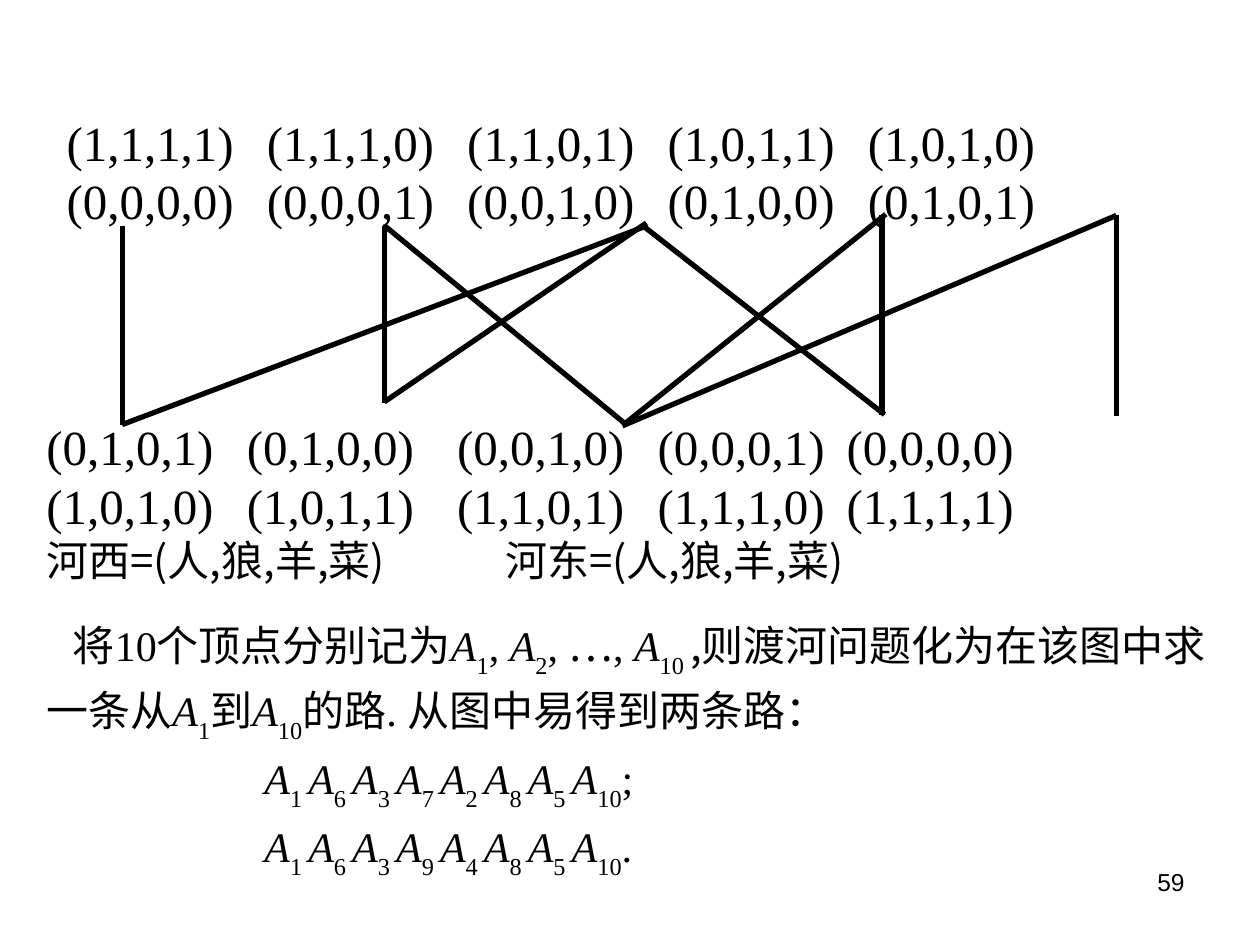
from pptx import Presentation
from pptx.dml.color import RGBColor
from pptx.enum.shapes import MSO_CONNECTOR as Link
from pptx.enum.text import PP_ALIGN as Align
from pptx.oxml.ns import qn
from pptx.util import Inches, Pt
from lxml.etree import SubElement as Sub

INK = "000000"
ROMAN, HAN = "Times New Roman", "Noto Sans CJK SC"
BIG = {"size": Pt(28), "name": ROMAN}
BODY = {"size": Pt(24), "name": ROMAN}
CJK = {"size": Pt(24), "name": HAN}
VAR = {**BODY, "italic": True}
PAGE = {"size": Pt(14), "name": "Arial"}

# States of the west and east banks, one column per vertex
TOP = [
    ["(1,1,1,1)", "(1,1,1,0)", "(1,1,0,1)", "(1,0,1,1)", "(1,0,1,0)"],
    ["(0,0,0,0)", "(0,0,0,1)", "(0,0,1,0)", "(0,1,0,0)", "(0,1,0,1)"],
]
LOW = [
    ["(0,1,0,1)", "(0,1,0,0)", "(0,0,1,0)", "(0,0,0,1)", "(0,0,0,0)"],
    ["(1,0,1,0)", "(1,0,1,1)", "(1,1,0,1)", "(1,1,1,0)", "(1,1,1,1)"],
]
KEY = ["河西=(人,狼,羊,菜)", "河东=(人,狼,羊,菜)"]
TOP_TABS = [1.59 * i for i in range(1, 5)]
LOW_TABS = [1.59, 3.26, 4.85, 6.35]

# Edges of the graph: x1, y1, x2, y2
EDGES = [
    (7, 3.29, 7, 1.71),
    (0.97, 1.79, 0.97, 3.37),
    (0.97, 3.37, 5.14, 1.79),
    (5.13, 1.77, 3.05, 3.19),
    (5.1, 1.79, 7.02, 3.29),
    (3.05, 1.79, 3.05, 3.2),
    (3.05, 1.79, 4.97, 3.37),
    (4.95, 3.37, 7.03, 1.7),
    (4.94, 3.38, 8.86, 1.71),
    (8.86, 1.71, 8.86, 3.3),
]
ROUTES = [
    ([1, 6, 3, 7, 2, 8, 5, 10], ";"),
    ([1, 6, 3, 9, 4, 8, 5, 10], "."),
]


def color(code):
    return RGBColor.from_string(code)


def add_box(slide, x, y, w, h):
    frame = slide.shapes.add_textbox(*map(Inches, (x, y, w, h))).text_frame
    frame.word_wrap = True
    return frame


def add_par(frame, tabs=(), indent=0, **form):
    first = frame.paragraphs[0]
    par = frame.add_paragraph() if first.runs else first
    props = par._p.get_or_add_pPr()
    if indent:
        props.set("indent", str(Inches(indent)))
    if tabs:
        stops = Sub(props, qn("a:tabLst"))
        for pos in tabs:
            Sub(stops, qn("a:tab"), pos=str(Inches(pos)), algn="l")
    for key, val in form.items():
        setattr(par, key, val)
    return par


def add_run(par, text, form, base=0):
    run = par.add_run()
    run.text = text
    for key, val in form.items():
        setattr(run.font, key, val)
    run.font.color.rgb = color(INK)
    props = run.font._element
    Sub(props, qn("a:ea"), typeface=HAN)
    if base:
        props.set("baseline", str(base))


def add_node(par, num, gap=""):
    """Italic A with a lowered index."""
    add_run(par, "A", VAR)
    add_run(par, f"{num}{gap}", BODY, -30000)


def add_rows(frame, rows, tabs, form):
    for row in rows:
        add_run(add_par(frame, tabs), "\t".join(row), form)


def add_edge(slide, ends):
    edge = slide.shapes.add_connector(Link.STRAIGHT, *map(Inches, ends))
    edge.line.color.rgb = color(INK)
    edge.line.width = Pt(3)
    Sub(edge._element.spPr, qn("a:effectLst"))


def add_story(slide):
    frame = add_box(slide, 0.27, 4.82, 9.51, 2.21)
    par = add_par(frame, indent=0.21, line_spacing=1.1)
    add_run(par, "将10个顶点分别记为", BODY)
    for num in (1, 2):
        add_node(par, num)
        add_run(par, ", ", BODY)
    add_run(par, "…", CJK)
    add_run(par, ", ", BODY)
    add_node(par, 10, " ")
    add_run(par, ",则", CJK)
    add_run(par, "渡河问题化为在该图中求一条从", BODY)
    add_node(par, 1)
    add_run(par, "到", BODY)
    add_node(par, 10)
    add_run(par, "的路. 从图中易得到两条路：", BODY)

    # The two routes
    for nums, stop in ROUTES:
        par = add_par(frame, indent=1.73, line_spacing=1.1,
                      space_before=Pt(1.5))
        for num in nums[:-1]:
            add_node(par, num, " ")
        add_node(par, nums[-1])
        add_run(par, stop, BODY)


def main():
    deck = Presentation()
    deck.slide_width, deck.slide_height = Inches(10), Inches(7.5)
    slide = deck.slides.add_slide(deck.slide_layouts[6])

    # Vertex labels above and below the graph
    add_rows(add_box(slide, 0.43, 0.84, 9.21, 1.04), TOP, TOP_TABS, BIG)
    low = add_box(slide, 0.27, 3.26, 9.29, 1.44)
    add_rows(low, LOW, LOW_TABS, BIG)
    add_rows(low, [KEY], [3.64], CJK)

    add_story(slide)
    for ends in EDGES:
        add_edge(slide, ends)

    # Page number
    page = add_par(add_box(slide, 7.17, 6.83, 2.33, 0.52),
                   alignment=Align.RIGHT)
    add_run(page, "59", PAGE)
    deck.save("out.pptx")


if __name__ == "__main__":
    main()
